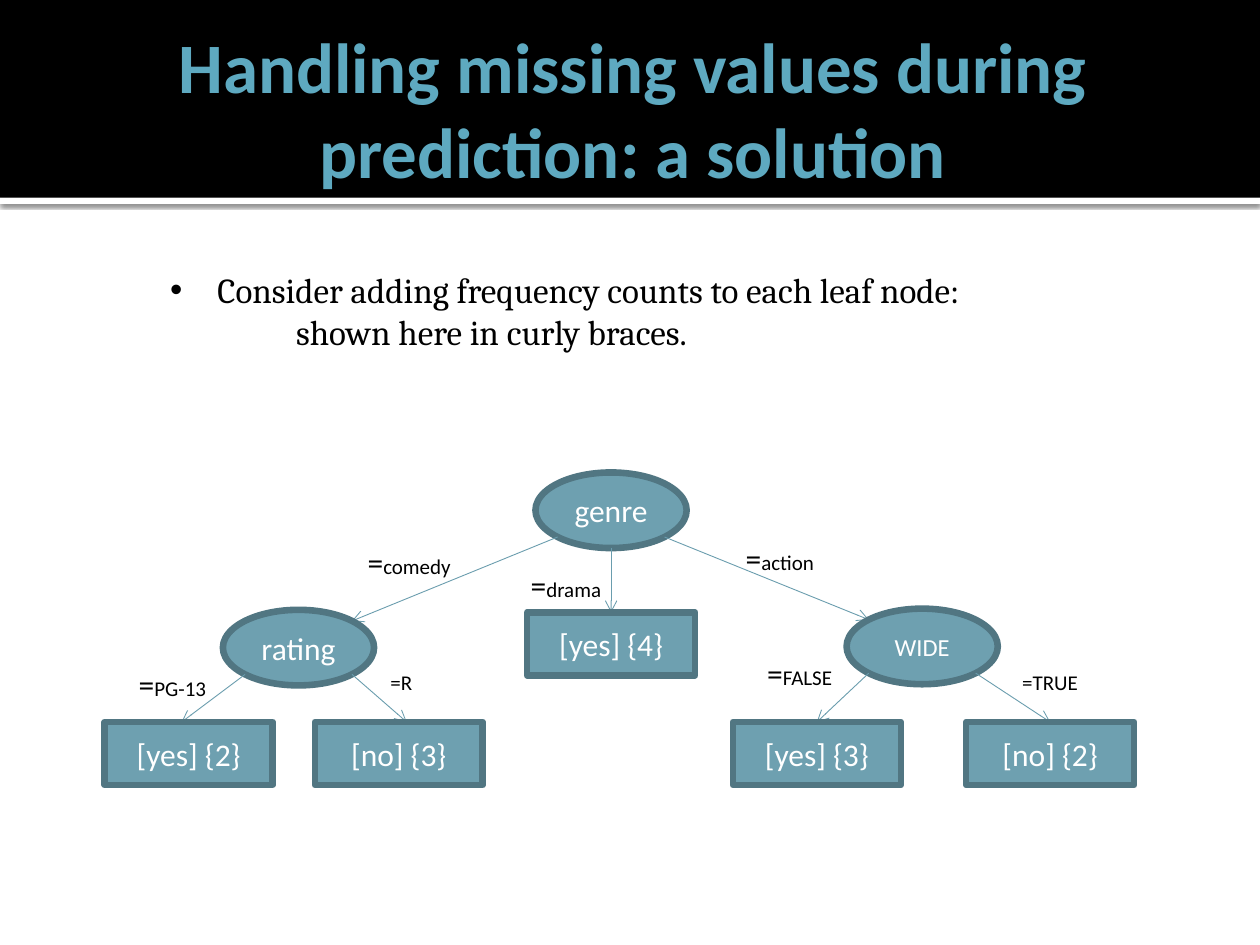
from math import sqrt

from lxml import etree
from pptx import Presentation
from pptx.dml.color import RGBColor
from pptx.enum.shapes import MSO_CONNECTOR, MSO_SHAPE
from pptx.enum.text import MSO_ANCHOR, MSO_AUTO_SIZE, PP_ALIGN
from pptx.oxml.ns import qn
from pptx.util import Pt

RECTANGLE, ELLIPSE = MSO_SHAPE.RECTANGLE, MSO_SHAPE.OVAL
STRAIGHT = MSO_CONNECTOR.STRAIGHT
MIDDLE, TOP = MSO_ANCHOR.MIDDLE, MSO_ANCHOR.TOP
CENTER, LEFT = PP_ALIGN.CENTER, PP_ALIGN.LEFT
NO_AUTOFIT = MSO_AUTO_SIZE.NONE

DECISION_SIZE = (86.4, 43.2)
LEAF_SIZE = (96, 36)
LEAF_ROW = 430.6

DECISIONS = {
    "genre": (349.2, 291.6, 18),
    "rating": (170.6, 370.1, 18),
    "WIDE": (527, 369.4, 14),
}
LEAVES = [
    ("[yes] {2}", 107.8, LEAF_ROW),
    ("[no] {3}", 227.9, LEAF_ROW),
    ("[yes] {4}", 349.2, 368),
    ("[yes] {3}", 466.8, LEAF_ROW),
    ("[no] {2}", 600.1, LEAF_ROW),
]
LABELS = [
    ("comedy", 203, 306.7, 62.6, 18),
    ("drama", 296.2, 319.7, 55.4, 18),
    ("action", 419, 304.6, 54, 18),
    ("R", 216, 379, 27.4, 12),
    ("PG-13", 72.2, 376.6, 54, 18),
    ("TRUE", 577, 379, 46.8, 12),
    ("FALSE", 431.3, 370.1, 51.8, 18),
]


def color(value):
    return RGBColor.from_string(value)


def decision_point(name, side, vertical):
    x, y, _ = DECISIONS[name]
    width, height = DECISION_SIZE
    reach = 1 / (2 * sqrt(2)) if side else 0.5
    return x + side * width * reach, y + vertical * height * reach


def leaf_point(index, shift=0):
    _, x, y = LEAVES[index]
    return x + shift, y - LEAF_SIZE[1] / 2


class SlideBuilder:
    heading_font = "Calibri"
    body_font = "Cambria"
    title_color = "5EA9C0"
    node_fill = "6EA0B0"
    node_line = "517682"
    edge_color = "6A9DAE"

    def __init__(self, slide):
        self.slide = slide
        self.shapes = slide.shapes

    def format_font(self, font, name, size, value, bold=False):
        font.name = name
        font.size = Pt(size)
        font.bold = bold
        font.color.rgb = color(value)

    def box(self, kind, left, top, width, height, fill):
        shape = self.shapes.add_shape(kind, Pt(left), Pt(top), Pt(width), Pt(height))
        shape.shadow.inherit = False
        shape.fill.solid()
        shape.fill.fore_color.rgb = color(fill)
        shape.line.fill.background()
        return shape

    def shadow(self, shape):
        effects = shape.element.spPr.find(qn("a:effectLst"))
        outer = etree.SubElement(effects, qn("a:outerShdw"), blurRad=str(Pt(2.5)),
                                 dist=str(Pt(0.8)), dir="5400000", rotWithShape="0")
        black = etree.SubElement(outer, qn("a:srgbClr"), val="000000")
        etree.SubElement(black, qn("a:alpha"), val="60000")

    def place(self, placeholder, left, top, width, height, anchor):
        placeholder.left, placeholder.top = Pt(left), Pt(top)
        placeholder.width, placeholder.height = Pt(width), Pt(height)
        tree = placeholder.element.getparent()
        tree.append(placeholder.element)
        frame = placeholder.text_frame
        frame.word_wrap = True
        frame.auto_size = NO_AUTOFIT
        frame.vertical_anchor = anchor
        return frame

    def title(self, text):
        frame = self.place(self.shapes.title, 36, 12.2, 648, 98.6, MIDDLE)
        frame.margin_right = Pt(3.6)
        frame.text = text
        paragraph = frame.paragraphs[0]
        paragraph.alignment = CENTER
        self.format_font(paragraph.font, self.heading_font, 40.5, self.title_color, True)

    def body(self, items):
        frame = self.place(self.slide.placeholders[1], 90, 149.8, 522, 79.9, TOP)
        frame.text = "\n".join(text for text, *_ in items)
        for paragraph, (_, level, margin, indent, bullet) in zip(frame.paragraphs, items):
            paragraph.level = level
            paragraph.alignment = LEFT
            paragraph.space_before = Pt(0)
            properties = paragraph._p.get_or_add_pPr()
            properties.set("marL", str(Pt(margin)))
            properties.set("indent", str(Pt(indent)))
            if bullet:
                etree.SubElement(properties, qn("a:buChar"), char=bullet)
            else:
                etree.SubElement(properties, qn("a:buNone"))
            self.format_font(paragraph.font, self.body_font, 20, "000000")

    def node(self, kind, text, x, y, dimensions, size=18):
        width, height = dimensions
        shape = self.box(kind, x - width / 2, y - height / 2, width, height, self.node_fill)
        shape.line.color.rgb = color(self.node_line)
        shape.line.width = Pt(3.78)
        frame = shape.text_frame
        frame.vertical_anchor = MIDDLE
        frame.text = text
        paragraph = frame.paragraphs[0]
        paragraph.alignment = CENTER
        self.format_font(paragraph.font, self.heading_font, size, "FFFFFF")

    def edge(self, start, end):
        connector = self.shapes.add_connector(STRAIGHT, *map(Pt, start + end))
        connector.line.color.rgb = color(self.edge_color)
        connector.line.width = Pt(0.5)
        etree.SubElement(connector.line._get_or_add_ln(), qn("a:tailEnd"), type="arrow")
        etree.SubElement(connector.element.spPr, qn("a:effectLst"))

    def label(self, value, left, top, width, sign_size):
        height = sign_size * 1.2 + 7.2
        box = self.shapes.add_textbox(Pt(left), Pt(top), Pt(width), Pt(height))
        box.text_frame.word_wrap = False
        paragraph = box.text_frame.paragraphs[0]
        parts = [("=" + value, 12)] if sign_size == 12 else [("=", sign_size), (value, 12)]
        for text, size in parts:
            run = paragraph.add_run()
            run.text = text
            self.format_font(run.font, self.heading_font, size, "000000")


def main():
    presentation = Presentation()
    presentation.slide_width, presentation.slide_height = Pt(720), Pt(540)
    builder = SlideBuilder(presentation.slides.add_slide(presentation.slide_layouts[1]))

    strip = builder.box(RECTANGLE, 0, 113, 720, 3.6, "FFFFFF")
    builder.shadow(strip)
    builder.box(RECTANGLE, 0, 0, 720, 113, "000000")
    builder.title("Handling missing values during prediction: a solution")
    builder.body([
        ("Consider adding frequency counts to each leaf node:", 0, 27, -27, "•"),
        ("shown here in curly braces.", 2, 72, 0, None),
    ])

    edges = {
        "genre": [(-1, decision_point("rating", 1, -1)), (0, leaf_point(2)),
                  (1, decision_point("WIDE", -1, -1))],
        "rating": [(-1, leaf_point(0, -4)), (1, leaf_point(1, 4.5))],
        "WIDE": [(-1, leaf_point(3)), (1, leaf_point(4))],
    }
    for name, (x, y, size) in DECISIONS.items():
        builder.node(ELLIPSE, name, x, y, DECISION_SIZE, size)
        for side, end in edges[name]:
            builder.edge(decision_point(name, side, 1), end)
    for label in LABELS:
        builder.label(*label)
    for text, x, y in LEAVES:
        builder.node(RECTANGLE, text, x, y, LEAF_SIZE)

    presentation.save("out.pptx")


if __name__ == "__main__":
    main()
